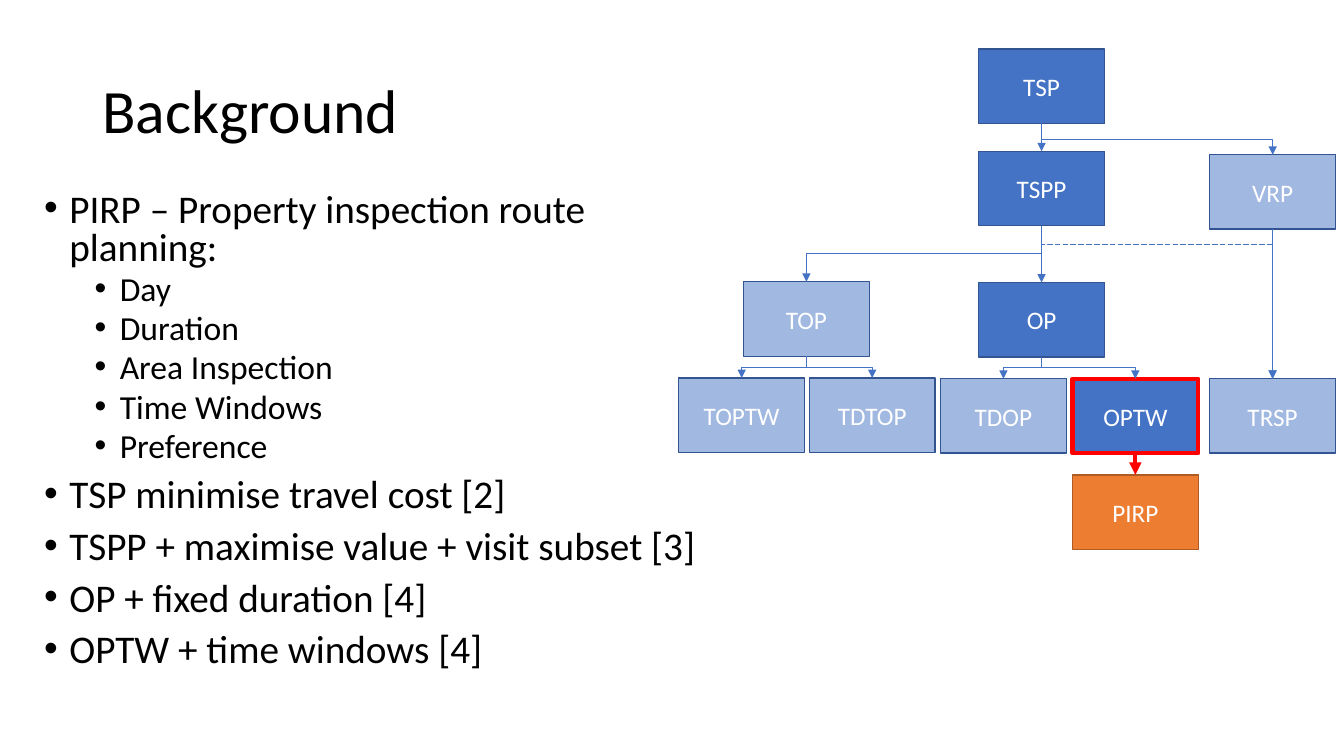
from dataclasses import dataclass

from lxml import etree
from pptx import Presentation
from pptx.dml.color import RGBColor
from pptx.enum.dml import MSO_LINE
from pptx.enum.shapes import MSO_CONNECTOR, MSO_SHAPE
from pptx.enum.text import MSO_ANCHOR, MSO_AUTO_SIZE, PP_ALIGN
from pptx.oxml.ns import qn
from pptx.shapes.autoshape import Shape
from pptx.shapes.connector import Connector
from pptx.slide import Slide
from pptx.text.text import _Paragraph
from pptx.util import Pt

RECT = MSO_SHAPE.RECTANGLE
STRAIGHT, ELBOW = MSO_CONNECTOR.STRAIGHT, MSO_CONNECTOR.ELBOW
DASH = MSO_LINE.LONG_DASH
MIDDLE, TOP = MSO_ANCHOR.MIDDLE, MSO_ANCHOR.TOP
LEFT, CENTER = PP_ALIGN.LEFT, PP_ALIGN.CENTER
NO_FIT = MSO_AUTO_SIZE.NONE
BOTTOM_SITE, TOP_SITE = 2, 0
TITLE_ONLY = 5


@dataclass(frozen=True)
class Theme:
    font: str = "Calibri"
    black: str = "000000"
    white: str = "FFFFFF"
    blue: str = "4472C4"
    navy: str = "325491"
    orange: str = "ED7D31"
    brown: str = "AF5C24"
    red: str = "FF0000"
    title: int = 44
    body: int = 28
    sub: int = 24
    label: int = 18


THEME = Theme()
BOX_W, BOX_H = 90, 53.2


@dataclass(frozen=True)
class Box:
    name: str
    left: float
    top: float
    fill: str = THEME.blue
    line: str = THEME.navy
    width: float = 1
    faded: bool = False


@dataclass(frozen=True)
class Link:
    start: str
    end: str
    color: str = THEME.blue
    width: float = 0.5
    bend: float = 0.5
    dashed: bool = False


@dataclass(frozen=True)
class Bullet:
    text: str
    level: int = 0


BOXES = [
    Box("TSP", 699, 35),
    Box("TSPP", 699, 108),
    Box("VRP", 864, 110.5, faded=True),
    Box("TOP", 531, 201.25, faded=True),
    Box("OP", 699, 201.75),
    Box("TOPTW", 484.75, 270, faded=True),
    Box("TDTOP", 578, 270, faded=True),
    Box("TDOP", 671.75, 270.5, faded=True),
    Box("OPTW", 766, 270.5, line=THEME.red, width=3),
    Box("TRSP", 864, 270.5, faded=True),
    Box("PIRP", 766, 339.25, fill=THEME.orange, line=THEME.brown),
]
LINKS = [
    Link("TSP", "TSPP"),
    Link("TSP", "VRP"),
    Link("TSPP", "OP"),
    Link("TSPP", "TOP"),
    Link("VRP", "TRSP"),
    Link("OP", "OPTW"),
    Link("OP", "TDOP"),
    Link("TOP", "TDTOP"),
    Link("TOP", "TOPTW"),
    Link("OPTW", "PIRP", color=THEME.red, width=3),
    Link("TSPP", "TRSP", bend=0.12, dashed=True),
]
BULLETS = [
    Bullet("PIRP – Property inspection route planning:"),
    Bullet("Day", 1),
    Bullet("Duration", 1),
    Bullet("Area Inspection", 1),
    Bullet("Time Windows", 1),
    Bullet("Preference", 1),
    Bullet("TSP minimise travel cost [2]"),
    Bullet("TSPP + maximise value + visit subset [3]"),
    Bullet("OP + fixed duration [4]"),
    Bullet("OPTW + time windows [4]"),
]


def rgb(code: str) -> RGBColor:
    return RGBColor.from_string(code)


def style(para: _Paragraph, size: int, color: str, align: PP_ALIGN) -> None:
    para.alignment = align
    for run in para.runs:
        run.font.name = THEME.font
        run.font.size = Pt(size)
        run.font.color.rgb = rgb(color)


def add_title(slide: Slide) -> None:
    title = slide.shapes.title
    title.left, title.top, title.width, title.height = Pt(66), Pt(28.75), Pt(828), Pt(104.5)
    frame = title.text_frame
    frame.text = "Background"
    frame.auto_size = NO_FIT
    frame.vertical_anchor = MIDDLE
    frame.paragraphs[0].line_spacing = 0.9
    style(frame.paragraphs[0], THEME.title, THEME.black, LEFT)


def add_body(slide: Slide) -> None:
    frame = slide.shapes.add_textbox(Pt(24.5), Pt(134.5), Pt(497), Pt(369.5)).text_frame
    frame.word_wrap = True
    frame.vertical_anchor = TOP
    for i, item in enumerate(BULLETS):
        para = frame.add_paragraph() if i else frame.paragraphs[0]
        para.text = item.text
        para.level = item.level
        para.line_spacing = 0.8
        para.space_before = Pt(5 if item.level else 10)
        style(para, THEME.sub if item.level else THEME.body, THEME.black, LEFT)
        props = para._p.get_or_add_pPr()
        props.set("marL", str(Pt(18 + 36 * item.level)))
        props.set("indent", str(Pt(-18)))
        etree.SubElement(props, qn("a:buFont"), typeface="Arial")
        etree.SubElement(props, qn("a:buChar"), char="•")


def add_box(slide: Slide, box: Box) -> Shape:
    shape = slide.shapes.add_shape(RECT, Pt(box.left), Pt(box.top), Pt(BOX_W), Pt(BOX_H))
    shape.shadow.inherit = False
    shape.fill.solid()
    shape.fill.fore_color.rgb = rgb(box.fill)
    if box.faded:
        color = shape._element.spPr.find(qn("a:solidFill"))[0]
        etree.SubElement(color, qn("a:alpha"), val="50000")
    shape.line.color.rgb = rgb(box.line)
    shape.line.width = Pt(box.width)
    frame = shape.text_frame
    frame.text = box.name
    frame.vertical_anchor = MIDDLE
    style(frame.paragraphs[0], THEME.label, THEME.white, CENTER)
    return shape


def add_elbow(slide: Slide, start: Shape, end: Shape, bend: float) -> Connector:
    """Turn a sideways elbow by a quarter so that it leaves and arrives vertically."""
    top = start.top + start.height
    run = end.left - start.left
    drop = end.top - top
    mid_x = start.left + (start.width + run) // 2
    mid_y = top + drop // 2
    half_w, half_h = drop // 2, abs(run) // 2
    line = slide.shapes.add_connector(
        ELBOW, mid_x - half_w, mid_y - half_h, mid_x + half_w, mid_y + half_h)
    props = line._element.spPr
    frame = props.find(qn("a:xfrm"))
    frame.set("rot", str((270 if run > 0 else 90) * 60000))
    if run > 0:
        frame.set("flipH", "1")
    guides = props.find(qn("a:prstGeom")).get_or_add_avLst()
    etree.SubElement(guides, qn("a:gd"), name="adj1", fmla=f"val {round(bend * 100000)}")
    return line


def add_link(slide: Slide, link: Link, shapes: dict[str, Shape]) -> None:
    start, end = shapes[link.start], shapes[link.end]
    if start.left == end.left:
        line = slide.shapes.add_connector(STRAIGHT, 0, 0, 0, 0)
        line.begin_connect(start, BOTTOM_SITE)
        line.end_connect(end, TOP_SITE)
    else:
        line = add_elbow(slide, start, end, link.bend)
    line.line.color.rgb = rgb(link.color)
    line.line.width = Pt(link.width)
    if link.dashed:
        line.line.dash_style = DASH
    props = line._element.spPr
    etree.SubElement(props.find(qn("a:ln")), qn("a:tailEnd"), type="triangle")
    etree.SubElement(props, qn("a:effectLst"))


def main() -> None:
    deck = Presentation()
    deck.slide_width, deck.slide_height = Pt(960), Pt(540)
    slide = deck.slides.add_slide(deck.slide_layouts[TITLE_ONLY])
    add_title(slide)
    add_body(slide)
    shapes = {box.name: add_box(slide, box) for box in BOXES}
    for link in LINKS:
        add_link(slide, link, shapes)
    deck.save("out.pptx")


if __name__ == "__main__":
    main()
